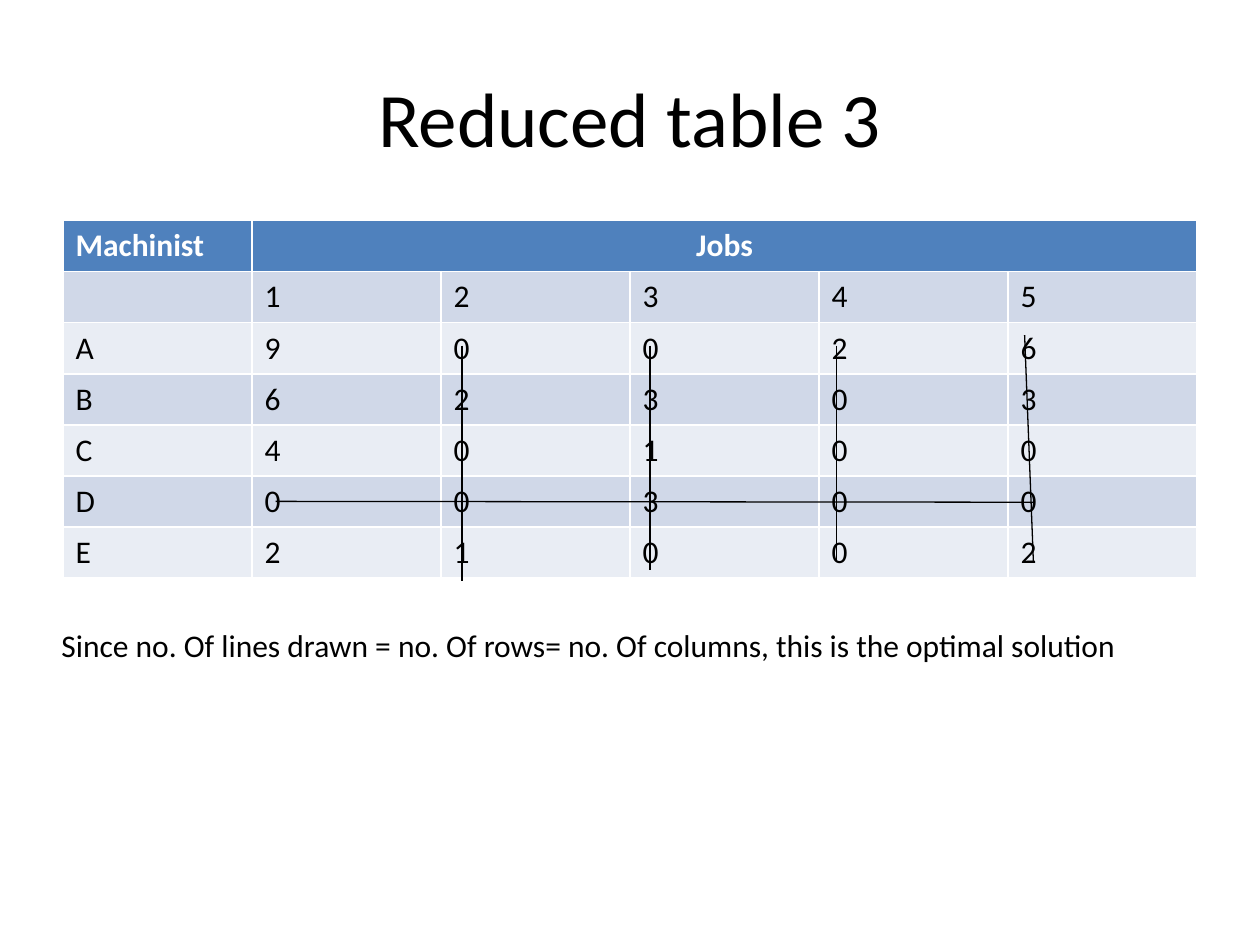
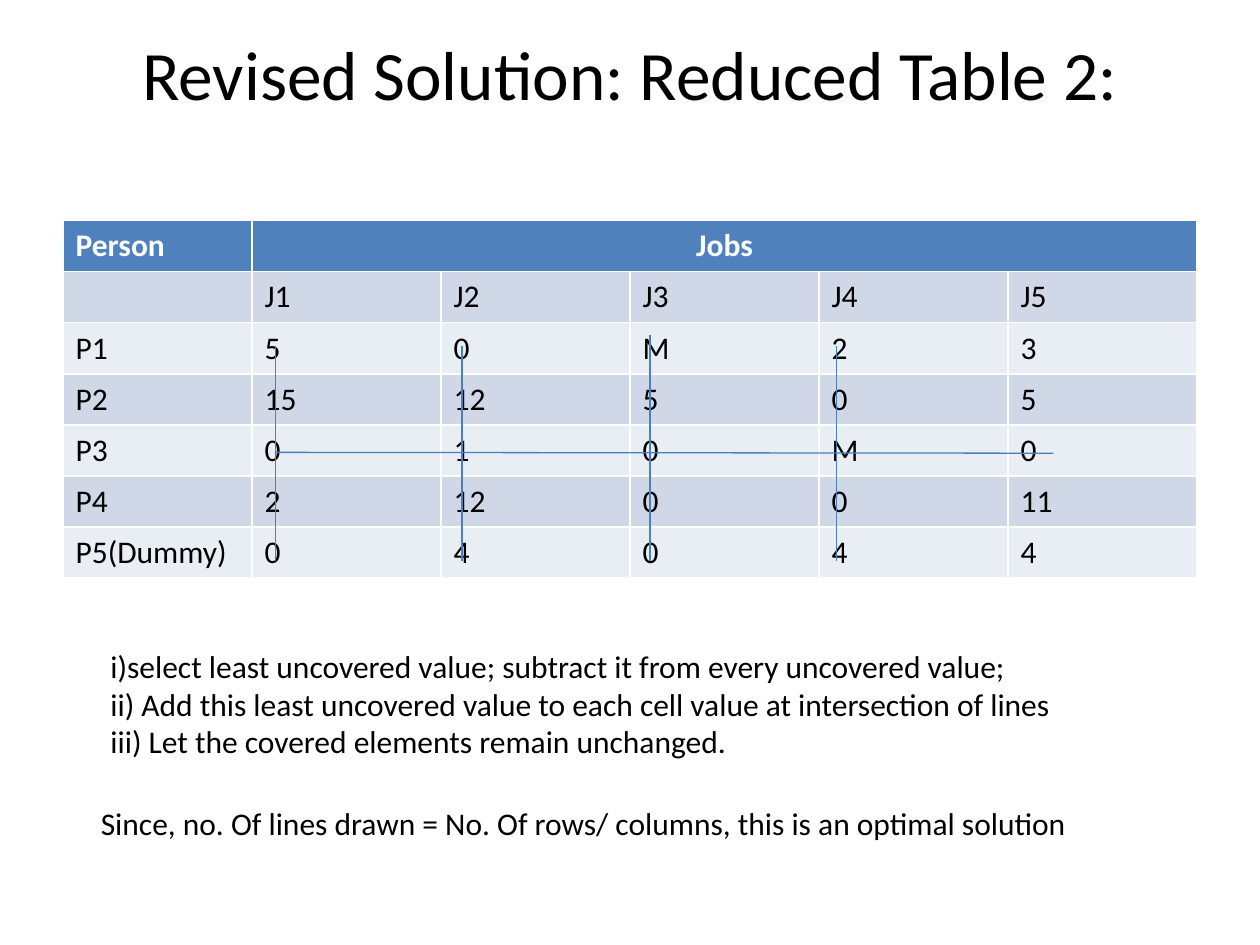
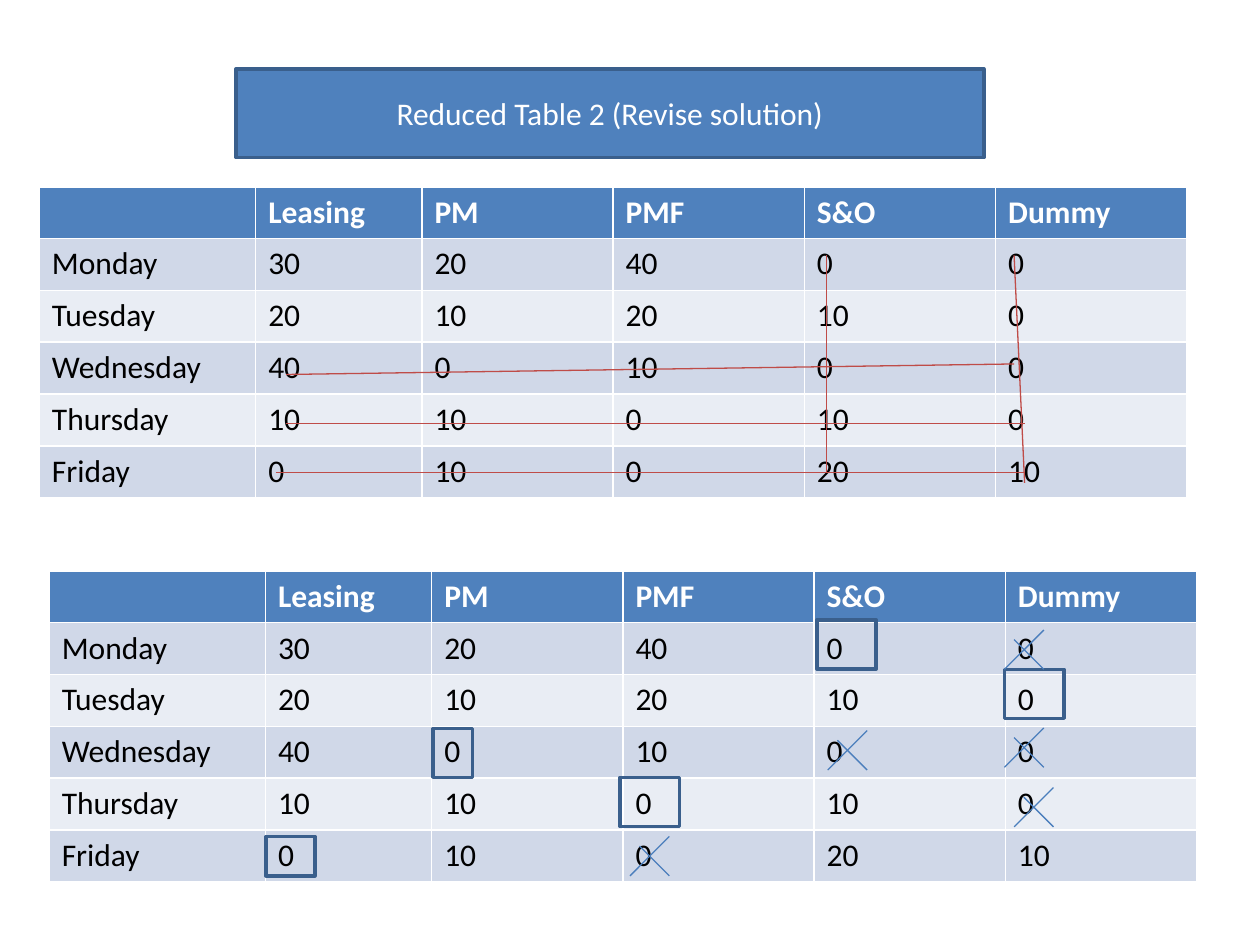
from pptx import Presentation
from pptx.dml.color import RGBColor as RGB
from pptx.enum.shapes import MSO_CONNECTOR, MSO_SHAPE as Shape
from pptx.enum.text import MSO_ANCHOR as Anchor, MSO_AUTO_SIZE as AutoSize, PP_ALIGN as Align
from pptx.oxml.ns import qn
from pptx.util import Pt
from lxml import etree

FONT = "Calibri"
COLORS = {
    "header": "4F81BD", "band_dark": "D0D8E8", "band_light": "E9EDF4",
    "frame": "3A5F8C", "blue_line": "4B7EBC", "red_line": "BF4C48",
    "text": "000000", "white": "FFFFFF",
}


def color(name):
    return RGB.from_string(COLORS[name])


def add_cost_table(slide, rows, left, top, col_widths, row_height):
    frame = slide.shapes.add_table(len(rows), len(col_widths), Pt(left), Pt(top),
                                   Pt(sum(col_widths)), Pt(row_height * len(rows)))
    table = frame.table
    for column, width in zip(table.columns, col_widths):
        column.width = Pt(width)
    for r, values in enumerate(rows):
        table.rows[r].height = Pt(row_height)
        fill = "header" if r == 0 else "band_dark" if r % 2 else "band_light"
        for c in range(len(col_widths)):
            cell = table.cell(r, c)
            cell.fill.solid()
            cell.fill.fore_color.rgb = color(fill)
            cell.text = values[c] if c < len(values) else ""
            font = cell.text_frame.paragraphs[0].font
            font.name, font.size, font.bold = FONT, Pt(18), r == 0
            font.color.rgb = color("white" if r == 0 else "text")
    return table


def draw_line(shapes, ends, line_color):
    line = shapes.add_connector(MSO_CONNECTOR.STRAIGHT, *map(Pt, ends))
    line.line.width = Pt(0.75)
    line.line.color.rgb = color(line_color)
    etree.SubElement(line._element.spPr, qn("a:effectLst"))


prs = Presentation()
prs.slide_width, prs.slide_height = Pt(720), Pt(540)
blank = prs.slide_layouts[6]

# Slides 1 and 2: title, assignment table, covering lines, conclusions
assignments = [
    {
        "title": "Reduced table 3", "title_size": 44,
        "title_top": 21.6, "title_anchor": Anchor.MIDDLE,
        "rows": [["Machinist", "Jobs"], ["", *"12345"], [*"A90026"], [*"B62303"],
                 [*"C40100"], [*"D00300"], [*"E21002"]],
        "line_color": "text",
        "lines": [(478, 197.5, 478, 320.5), (264, 197.5, 264, 332), (371.5, 197.5, 371.5, 326),
                  (585.5, 191.5, 590.5, 320.5), (157.5, 286.5, 590.5, 287)],
        "notes": [(28, 354, 652, 29, [
            "Since no. Of lines drawn = no. Of rows= no. Of columns, this is the optimal solution"])],
    },
    {
        "title": "Revised Solution: Reduced Table 2:", "title_size": 39.6,
        "title_top": 18, "title_anchor": Anchor.TOP,
        "rows": [["Person", "Jobs"], ["", "J1", "J2", "J3", "J4", "J5"],
                 ["P1", "5", "0", "M", "2", "3"], ["P2", "15", "12", "5", "0", "5"],
                 ["P3", "0", "1", "0", "M", "0"], ["P4", "2", "12", "0", "0", "11"],
                 ["P5(Dummy)", "0", "4", "0", "4", "4"]],
        "line_color": "blue_line",
        "lines": [(371.5, 191.5, 371.5, 320.5), (157.5, 258.5, 602, 259),
                  (478, 197.5, 478, 320.5), (157.5, 197.5, 157.5, 320.5),
                  (264, 197.5, 264, 320.5)],
        "notes": [
            (56, 366, 636, 73, [
                "i)select least uncovered value; subtract it from every uncovered value;",
                "ii) Add this least uncovered value to each cell value at intersection of lines",
                "iii) Let the covered elements remain unchanged."]),
            (50.5, 456, 636, 29, [
                "Since, no. Of lines drawn = No. Of rows/ columns, this is an optimal solution"]),
        ],
    },
]

for assignment in assignments:
    slide = prs.slides.add_slide(blank)

    # Title
    title_top = assignment["title_top"]
    title = slide.shapes.add_textbox(Pt(36), Pt(title_top), Pt(648), Pt(111.6 - title_top)).text_frame
    title.word_wrap = True
    title.vertical_anchor = assignment["title_anchor"]
    title.margin_top = title.margin_bottom = 0
    title.text = assignment["title"]
    heading = title.paragraphs[0]
    heading.alignment = Align.CENTER
    heading.font.name, heading.font.size = FONT, Pt(assignment["title_size"])
    heading.font.color.rgb = color("text")

    # Table with one heading over all jobs
    table = add_cost_table(slide, assignment["rows"], 36, 126, [108] * 6, 29.2)
    table.cell(0, 1).merge(table.cell(0, 5))
    table.cell(0, 1).text_frame.paragraphs[0].alignment = Align.CENTER
    for ends in assignment["lines"]:
        draw_line(slide.shapes, ends, assignment["line_color"])

    # Conclusions
    for left, top, width, height, sentences in assignment["notes"]:
        note = slide.shapes.add_textbox(Pt(left), Pt(top), Pt(width), Pt(height)).text_frame
        note.word_wrap = True
        note.auto_size = AutoSize.SHAPE_TO_FIT_TEXT
        note.text = "\n".join(sentences)
        for sentence in note.paragraphs:
            sentence.font.name, sentence.font.size = FONT, Pt(18)
            sentence.font.color.rgb = color("text")

# Slide 3: the weekday table, first with covering lines, then with the assignment
slide = prs.slides.add_slide(blank)
weekdays = [
    ["", "Leasing", "PM", "PMF", "S&O", "Dummy"],
    ["Monday", "30", "20", "40", "0", "0"],
    ["Tuesday", "20", "10", "20", "10", "0"],
    ["Wednesday", "40", "0", "10", "0", "0"],
    ["Thursday", "10", "10", "0", "10", "0"],
    ["Friday", "0", "10", "0", "20", "10"],
]
for left, top in [(22.5, 106.75), (28.1, 326.25)]:
    add_cost_table(slide, weekdays, left, top, [123.6, 95] + [109.3] * 4, 29.6)

# Banner and frames around the assigned zeros
banner_box = (134.75, 39.5, 427.5, 50.5)
assigned_zeros = [(574, 382.5, 34, 28), (466.75, 354.25, 34, 28), (247.5, 416.25, 22.5, 28),
                  (354.25, 444.25, 34, 28), (152, 478, 28, 22.5)]
for box in [banner_box, *assigned_zeros]:
    frame = slide.shapes.add_shape(Shape.RECTANGLE, *map(Pt, box))
    frame.shadow.inherit = False
    frame.line.width = Pt(2)
    frame.line.color.rgb = color("frame")
    if box != banner_box:
        frame.fill.background()
        continue
    frame.fill.solid()
    frame.fill.fore_color.rgb = color("header")
    frame.text_frame.vertical_anchor = Anchor.MIDDLE
    frame.text_frame.text = "Reduced Table 2 (Revise solution)"
    banner = frame.text_frame.paragraphs[0]
    banner.alignment = Align.CENTER
    banner.font.name, banner.font.size = FONT, Pt(18)
    banner.font.color.rgb = color("white")

# Covering lines
for ends in [(579.5, 146, 585.5, 276), (157.5, 270, 585.5, 270), (472.5, 146, 472.5, 270),
             (163.5, 214, 579.5, 208), (163.5, 242, 585.5, 242)]:
    draw_line(slide.shapes, ends, "red_line")

# Crosses over the rejected zeros
for x, y in [(574, 416), (579.5, 450), (574, 360), (473, 417.5), (360, 478)]:
    cross = slide.shapes.add_group_shape()
    draw_line(cross.shapes, (x + 5.5, y + 5.5, x + 22.5, y + 22.5), "blue_line")
    draw_line(cross.shapes, (x + 22.5, y, x, y + 22.5), "blue_line")

prs.save("out.pptx")
